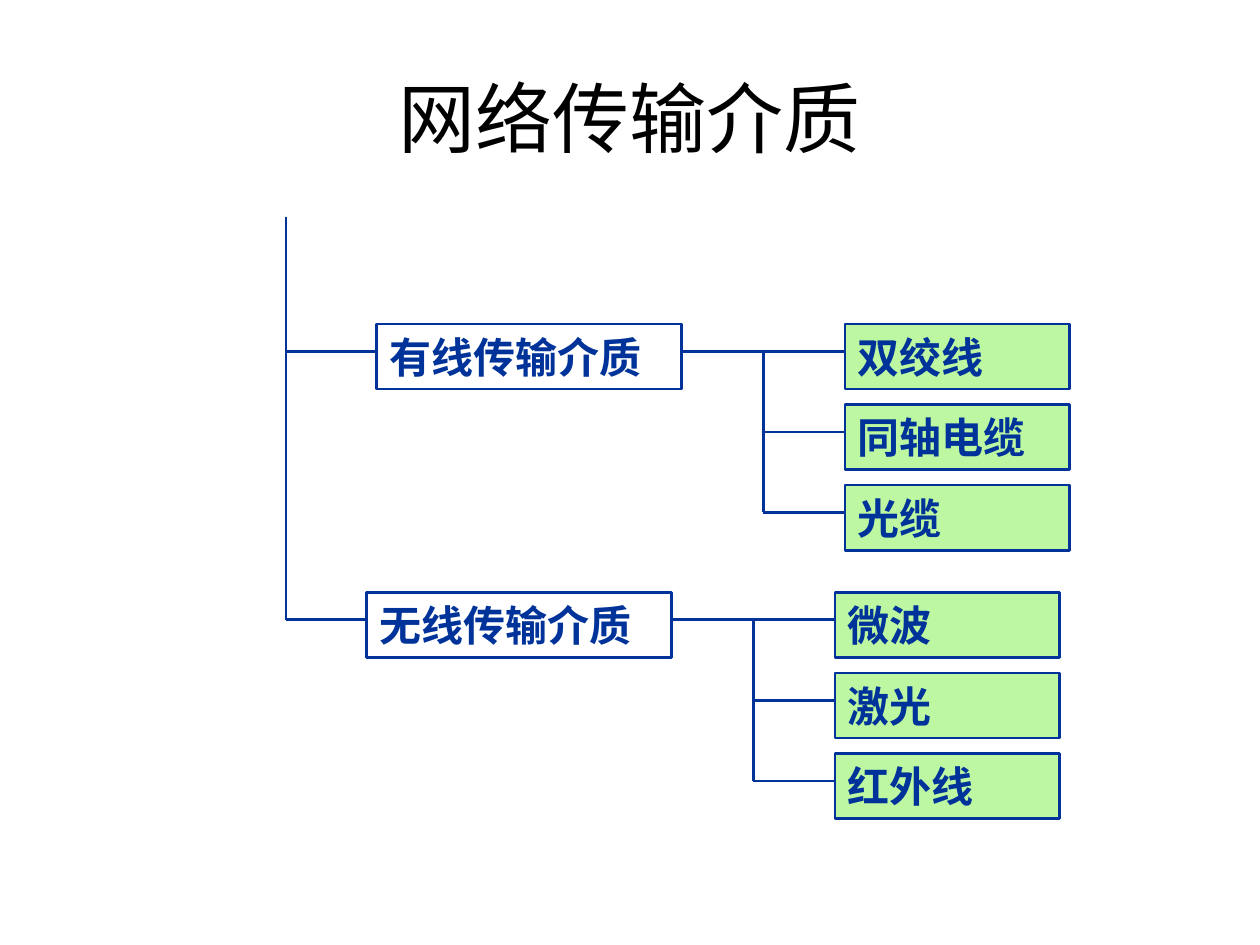
from lxml.etree import SubElement
from pptx import Presentation
from pptx.dml.color import RGBColor
from pptx.enum.shapes import MSO_CONNECTOR, MSO_SHAPE
from pptx.enum.text import MSO_ANCHOR, PP_ALIGN
from pptx.oxml.ns import qn
from pptx.util import Inches, Pt

BLUE = RGBColor(0x00, 0x33, 0x99)
GREEN = RGBColor(0xBE, 0xF7, 0xA1)
BLACK = RGBColor(0x00, 0x00, 0x00)
CJK_FONT = "Noto Sans CJK SC"
TRUNK_X, TRUNK_TOP = 2.27, 1.72
BRANCH_WIDTH, BRANCH_HEIGHT = 5.5, 1.92
BOX_SHARE, JOINT_SHARE = 0.81, 0.34
BRANCHES = [
    (2.99, 2.57, "有线传输介质", ["双绞线", "同轴电缆", "光缆"]),
    (2.91, 4.70, "无线传输介质", ["微波", "激光", "红外线"]),
]


def style_text(paragraph, size, color, latin, bold=False):
    """Set the paragraph font, with the CJK typeface for Chinese text."""
    font = paragraph.font
    font.size, font.bold, font.name = Pt(size), bold, latin
    font.color.rgb = color
    defaults = paragraph._p.pPr.find(qn("a:defRPr"))
    SubElement(defaults, qn("a:ea")).set("typeface", CJK_FONT)


def add_title(slide, text, left, top, width, height):
    """Place the centred slide title."""
    title = slide.shapes.title
    title.left, title.top = Inches(left), Inches(top)
    title.width, title.height = Inches(width), Inches(height)
    title.text_frame.text = text
    title.text_frame.vertical_anchor = MSO_ANCHOR.MIDDLE
    heading = title.text_frame.paragraphs[0]
    heading.alignment = PP_ALIGN.CENTER
    style_text(heading, 44, BLACK, CJK_FONT)


def add_line(slide, x1, y1, x2, y2):
    """Draw a plain blue line."""
    line = slide.shapes.add_connector(
        MSO_CONNECTOR.STRAIGHT, Inches(x1), Inches(y1), Inches(x2), Inches(y2))
    line.line.color.rgb, line.line.width = BLUE, Pt(1.5)
    SubElement(line._element.spPr, qn("a:effectLst"))


def add_node(slide, text, left, top, width, height, fill=None):
    """Draw an outlined box with a bold label."""
    node = slide.shapes.add_shape(
        MSO_SHAPE.RECTANGLE, Inches(left), Inches(top), Inches(width), Inches(height))
    node.shadow.inherit = False
    node.line.color.rgb, node.line.width = BLUE, Pt(1.5)
    if fill is None:
        node.fill.background()
    else:
        node.fill.solid()
        node.fill.fore_color.rgb = fill
    frame = node.text_frame
    frame.text = text
    frame.word_wrap = True
    frame.margin_top = frame.margin_bottom = 0
    frame.vertical_anchor = MSO_ANCHOR.MIDDLE
    label = frame.paragraphs[0]
    label.alignment = PP_ALIGN.LEFT
    style_text(label, 24, BLUE, "Times New Roman", bold=True)


def add_branch(slide, topic, media, left, top, width, height):
    """Draw a topic box, its media boxes and the lines between them."""
    row = height / len(media)
    box_height, joint = row * BOX_SHARE, row * JOINT_SHARE
    topic_width = width * 0.44
    stem_x, media_x = left + width * 0.558, left + width * 0.676
    add_node(slide, topic, left, top, topic_width, box_height)
    for index, medium in enumerate(media):
        y = top + index * row
        add_node(slide, medium, media_x, y, left + width - media_x, box_height, GREEN)
        start_x = stem_x if index else left + topic_width
        add_line(slide, start_x, y + joint, media_x, y + joint)
    add_line(slide, stem_x, top + joint, stem_x, top + height - row + joint)


def add_tree(slide, branches, trunk_x, trunk_top):
    """Draw the trunk and hang every branch from it."""
    joint = BRANCH_HEIGHT / 3 * JOINT_SHARE
    for left, top, topic, media in branches:
        add_branch(slide, topic, media, left, top, BRANCH_WIDTH, BRANCH_HEIGHT)
        add_line(slide, trunk_x, top + joint, left, top + joint)
    add_line(slide, trunk_x, trunk_top, trunk_x, branches[-1][1] + joint)


def main():
    """Build and save the slide."""
    deck = Presentation()
    deck.slide_width, deck.slide_height = Inches(10), Inches(7.5)
    slide = deck.slides.add_slide(deck.slide_layouts[5])
    add_title(slide, "网络传输介质", 0.5, 0.3, 9, 1.25)
    add_tree(slide, BRANCHES, TRUNK_X, TRUNK_TOP)
    deck.save("out.pptx")


if __name__ == "__main__":
    main()
